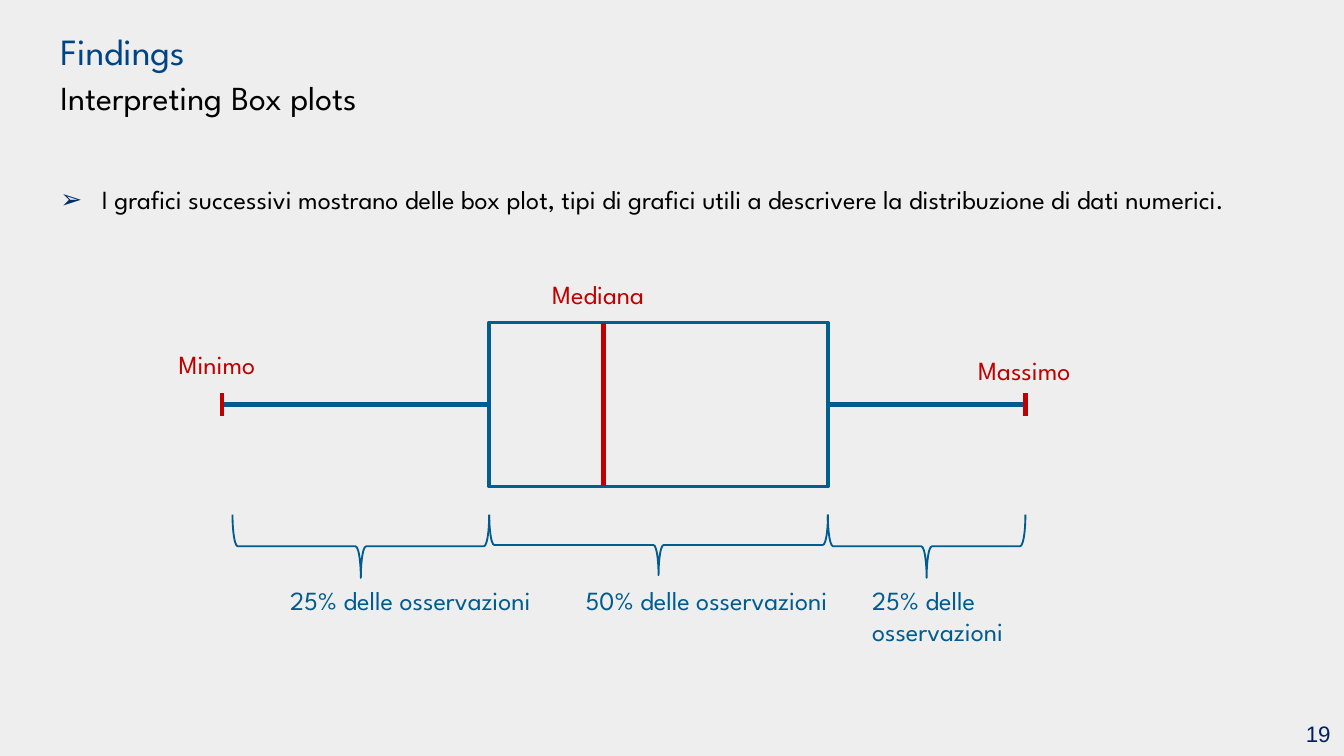
from lxml import etree
from pptx import Presentation
from pptx.dml.color import RGBColor
from pptx.enum.shapes import MSO_CONNECTOR, MSO_SHAPE
from pptx.enum.text import MSO_ANCHOR, MSO_AUTO_SIZE, PP_ALIGN
from pptx.oxml.ns import qn
from pptx.util import Inches, Pt

STRAIGHT = MSO_CONNECTOR.STRAIGHT
RECTANGLE, BRACE = MSO_SHAPE.RECTANGLE, MSO_SHAPE.LEFT_BRACE
TOP, MIDDLE = MSO_ANCHOR.TOP, MSO_ANCHOR.MIDDLE
LEFT, RIGHT = PP_ALIGN.LEFT, PP_ALIGN.RIGHT
LEFT_SIDE, RIGHT_SIDE = 1, 3

SLIDE_WIDTH = 10
SLIDE_HEIGHT = SLIDE_WIDTH * 9 / 16
FONT = "League Spartan"
COLORS = {
    "background": "EEEEEE", "title": "004485", "text": "000000", "bullet": "002E69",
    "box": "005E90", "plot": "005C8E", "accent": "C00000", "number": "002060",
}

# Content
TITLE = [("Findings\n", 19.8, "title"), ("Interpreting", 18, "text"),
         (" ", 19.8, "title"), ("Box plots", 18, "text")]
INTRO = ("I grafici successivi mostrano delle box plot, tipi di grafici utili "
         "a descrivere la distribuzione di dati numerici.")
PAGE_NUMBER = "19"
POINT_LABELS = [("Minimo", 1.23, 2.54), ("Mediana", 4.01, 2.02), ("Massimo", 7.18, 2.59)]
# Box plot positions in inches
MINIMUM, QUARTILE_1, MEDIAN, QUARTILE_3, MAXIMUM = 1.65, 3.64, 4.49, 6.16, 7.63
BOX_TOP, BOX_HEIGHT = 2.4, 1.22
CAP_HEIGHT = 0.17
BRACE_TOP, SHARE_TOP = 3.83, 4.3
# Label, label left, label width, brace start, brace end, brace depth
SHARES = [
    ("25% delle osservazioni", 2.06, 2.03, 1.73, QUARTILE_1, 0.47),
    ("50% delle osservazioni", 4.26, 2.03, QUARTILE_1, QUARTILE_3, 0.45),
    ("25% delle osservazioni", 6.39, 1.57, QUARTILE_3, MAXIMUM, 0.47),
]

presentation = Presentation()
presentation.slide_width = Inches(SLIDE_WIDTH)
presentation.slide_height = Inches(SLIDE_HEIGHT)
slide = presentation.slides.add_slide(presentation.slide_layouts[5])


def color(name):
    return RGBColor.from_string(COLORS[name])


def add_text(text, at, shape=None, size=14, font=FONT, fill="text", align=LEFT,
             anchor=TOP, margin=0.05, spacing=1.0, bullet=None):
    """Write a string, or (text, size, colour) runs, in a new box or a given shape."""
    box = [Inches(value) for value in at]
    if shape is None:
        shape = slide.shapes.add_textbox(*box)
    shape.left, shape.top, shape.width, shape.height = box
    frame = shape.text_frame
    frame.word_wrap, frame.auto_size = True, MSO_AUTO_SIZE.NONE
    frame.vertical_anchor = anchor
    frame.margin_left = frame.margin_right = Inches(0.1)
    frame.margin_top = frame.margin_bottom = Inches(margin)
    paragraph = frame.paragraphs[0]
    paragraph.alignment, paragraph.line_spacing = align, spacing
    if bullet:
        properties = paragraph._p.get_or_add_pPr()
        properties.set("marL", str(Inches(0.31)))
        properties.set("indent", str(-Inches(0.31)))
        bullet_color = etree.SubElement(properties, qn("a:buClr"))
        etree.SubElement(bullet_color, qn("a:srgbClr"), val=COLORS["bullet"])
        etree.SubElement(properties, qn("a:buFont"), typeface="Arial")
        etree.SubElement(properties, qn("a:buChar"), char=bullet)
    runs = [(text, size, fill)] if isinstance(text, str) else text
    for words, points, name in runs:
        run = paragraph.add_run()
        run.text = words.rstrip("\n")
        run.font.size, run.font.name = Pt(points), font
        run.font.color.rgb = color(name)
        if words.endswith("\n"):
            paragraph.add_line_break()


def add_outline(kind, left, top, width, height, line, weight):
    shape = slide.shapes.add_shape(kind, *(Inches(v) for v in (left, top, width, height)))
    shape.shadow.inherit = False
    shape.fill.background()
    shape.line.color.rgb, shape.line.width = color(line), Pt(weight)
    return shape


def add_line(x1, y1, x2, y2, line):
    connector = slide.shapes.add_connector(STRAIGHT, *(Inches(v) for v in (x1, y1, x2, y2)))
    connector.line.color.rgb, connector.line.width = color(line), Pt(2.25)
    etree.SubElement(connector._element.spPr, qn("a:effectLst"))
    return connector


# Background, title and introduction
slide.background.fill.solid()
slide.background.fill.fore_color.rgb = color("background")
add_text(TITLE, (0.35, 0.33, 8.62, 0.43), shape=slide.shapes.title, anchor=MIDDLE)
add_text(INTRO, (0.35, 1.15, 9.25, 3.92), margin=0.1, spacing=1.5, bullet="➢")

# Box, whiskers, median and end caps
center = BOX_TOP + BOX_HEIGHT / 2
box = add_outline(RECTANGLE, QUARTILE_1, BOX_TOP, QUARTILE_3 - QUARTILE_1, BOX_HEIGHT, "box", 2)
add_line(MINIMUM, center, QUARTILE_1, center, "plot").end_connect(box, LEFT_SIDE)
add_line(QUARTILE_3, center, MAXIMUM, center, "plot").begin_connect(box, RIGHT_SIDE)
for x, height in ((MEDIAN, BOX_HEIGHT), (MINIMUM, CAP_HEIGHT), (MAXIMUM, CAP_HEIGHT)):
    add_line(x, center - height / 2, x, center + height / 2, "accent")
for label, left, top in POINT_LABELS:
    add_text(label, (left, top, 1.01, 0.34), fill="accent")

# Braces: placed upright around their centre, then turned to point down
for label, left, width, start, end, depth in SHARES:
    span = end - start
    brace = add_outline(BRACE, (start + end - depth) / 2, BRACE_TOP + (depth - span) / 2,
                        depth, span, "plot", 1)
    brace.rotation = 270
    add_text(label, (left, SHARE_TOP, width, 0.57), fill="plot")

# Page number
add_text(PAGE_NUMBER, (9.36, 5.29, 0.64, 0.33), size=12, font="Arial", fill="number",
         align=RIGHT, anchor=MIDDLE)

presentation.save("out.pptx")
